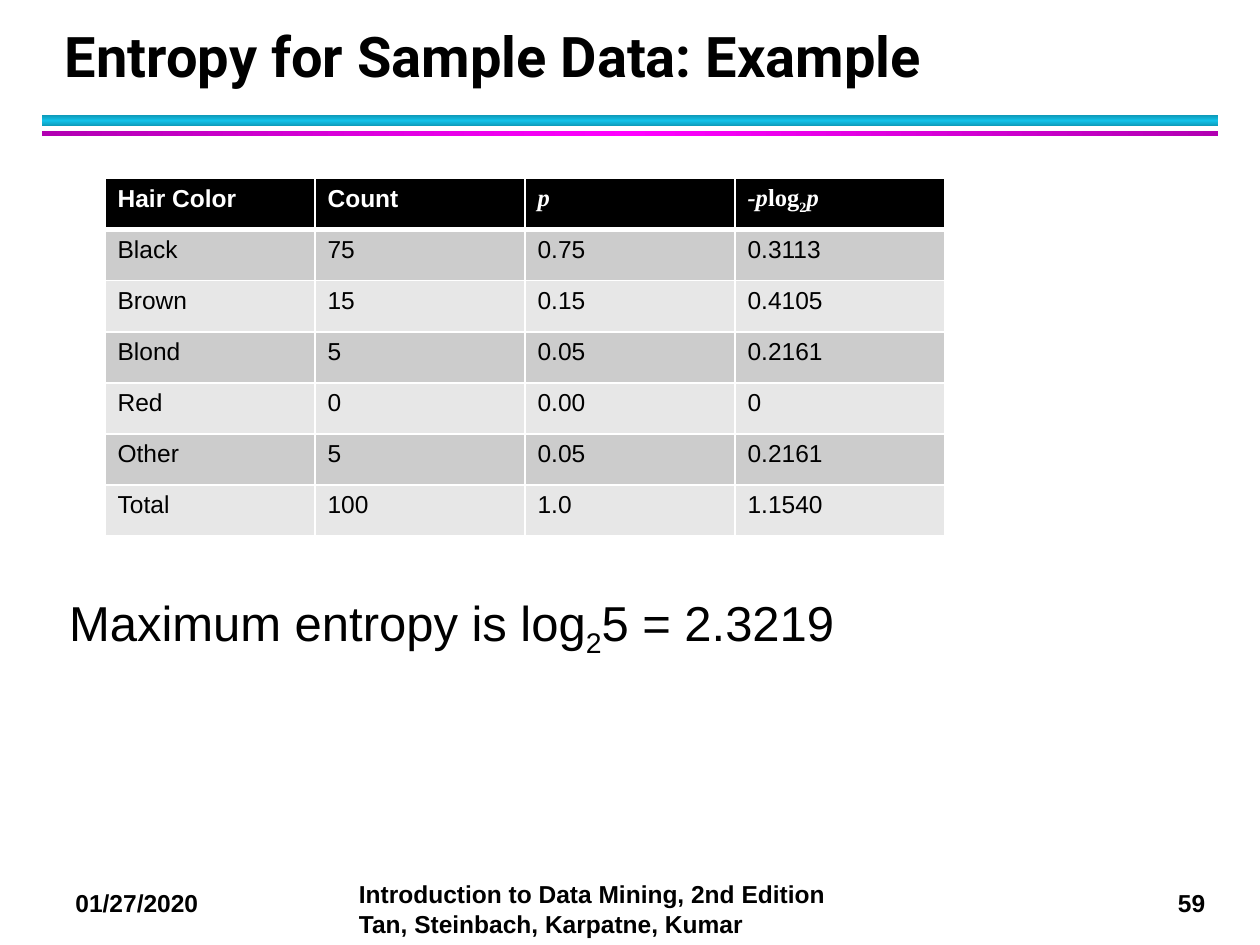
import copy

from lxml import etree
from pptx import Presentation
from pptx import util as u
from pptx.dml import color as dml
from pptx.enum import shapes, text
from pptx.oxml import ns

BARS = [
    ((24, 66, 672, 6), 90, ("0E9BBA", "12C2E9", "0E9BBA")),
    ((24, 75, 672, 3), 0, ("B200B2", "FF00FF", "B200B2")),
]
MATH = {"name": "Times New Roman", "italic": True}
UPRIGHT = {**MATH, "italic": False}
HEADER = [
    [("Hair Color", {})],
    [("Count", {})],
    [("p", MATH)],
    [("-p", MATH), ("log", UPRIGHT), ("2", {**UPRIGHT, "baseline": -25}), ("p", MATH)],
]
ROWS = [
    ("Black", "75", "0.75", "0.3113"),
    ("Brown", "15", "0.15", "0.4105"),
    ("Blond", "5", "0.05", "0.2161"),
    ("Red", "0", "0.00", "0"),
    ("Other", "5", "0.05", "0.2161"),
    ("Total", "100", "1.0", "1.1540"),
]
FOOTERS = [
    ("01/27/2020", (36, 504, 96, 24.5), True),
    ("59", (666, 504, 31.5, 24.5), False),
    ("Introduction to Data Mining, 2nd Edition Tan, Steinbach, Karpatne, Kumar",
     (198, 499, 294, 41), True),
]


def rgb(value):
    return dml.RGBColor.from_string(value)


class SlideBuilder:
    """Holds the text style and the slide on which elements are placed."""

    style = {"name": "Arial", "size": 14, "bold": False, "color": "000000"}

    def __init__(self, page):
        self.page = page

    def add_spans(self, para, spans, **base):
        for content, changes in spans:
            span = para.add_run()
            span.text = content
            for key, value in {**self.style, **base, **changes}.items():
                if key == "color":
                    span.font.color.rgb = rgb(value)
                elif key == "baseline":
                    span._r.get_or_add_rPr().set("baseline", str(value * 1000))
                else:
                    setattr(span.font, key, u.Pt(value) if key == "size" else value)

    def label(self, spans, place, wrap=True, anchor=text.MSO_ANCHOR.TOP,
              line_spacing=None, **base):
        box = self.page.shapes.add_textbox(*map(u.Pt, place))
        frame = box.text_frame
        frame.word_wrap = wrap
        frame.vertical_anchor = anchor
        para = frame.paragraphs[0]
        if line_spacing:
            para.line_spacing = u.Pt(line_spacing)
        self.add_spans(para, spans, **base)

    def gradient_bar(self, place, angle, colors):
        bar = self.page.shapes.add_shape(shapes.MSO_SHAPE.RECTANGLE, *map(u.Pt, place))
        bar.shadow.inherit = False
        bar.line.fill.background()
        bar.fill.gradient()
        bar.fill.gradient_angle = angle
        stops = bar._element.spPr.find(".//" + ns.qn("a:gsLst"))
        stops.append(copy.deepcopy(stops[0]))
        for stop, position, value in zip(bar.fill.gradient_stops, (0, 0.5, 1), colors):
            stop.position = position
            stop.color.rgb = rgb(value)

    def borders(self, cell, top, bottom):
        widths = {"lnL": 1, "lnR": 1, "lnT": top, "lnB": bottom}
        for index, (side, width) in enumerate(widths.items()):
            edge = etree.Element(ns.qn("a:" + side), w=str(u.Pt(width)))
            fill = etree.SubElement(edge, ns.qn("a:solidFill"))
            etree.SubElement(fill, ns.qn("a:srgbClr"), val="FFFFFF")
            cell._tc.get_or_add_tcPr().insert(index, edge)

    def table(self, header, rows, place):
        lines = [header] + [[[(value, {})] for value in row] for row in rows]
        grid = self.page.shapes.add_table(
            len(lines), len(header), *map(u.Pt, place)).table
        for row, line in enumerate(lines):
            grid.rows[row].height = u.Pt(place[3] / len(lines))
            shade = "000000" if row == 0 else ("E7E7E7", "CCCCCC")[row % 2]
            base = {"bold": row == 0, "color": "000000" if row else "FFFFFF"}
            for column, spans in enumerate(line):
                cell = grid.cell(row, column)
                cell.fill.solid()
                cell.fill.fore_color.rgb = rgb(shade)
                self.borders(cell, 3 if row == 1 else 1, 3 if row == 0 else 1)
                self.add_spans(cell.text_frame.paragraphs[0], spans, **base)


def main():
    deck = Presentation()
    deck.slide_width, deck.slide_height = u.Pt(720), u.Pt(540)
    builder = SlideBuilder(deck.slides.add_slide(deck.slide_layouts[6]))
    for bar in BARS:
        builder.gradient_bar(*bar)
    for content, place, wrap in FOOTERS:
        builder.label([(content, {})], place, wrap, bold=True)
    builder.label([("Entropy for Sample Data: Example", {})], (30, 12, 652, 42),
                  anchor=text.MSO_ANCHOR.BOTTOM, line_spacing=36,
                  name="Roboto", size=32, bold=True)
    builder.label([("Maximum entropy is log", {}), ("2", {"baseline": -25}),
                   ("5 = 2.3219", {})], (32.4, 335, 655, 42), size=28)
    builder.table(HEADER, ROWS, (60, 102, 480, 204.4))
    deck.save("out.pptx")


if __name__ == "__main__":
    main()
